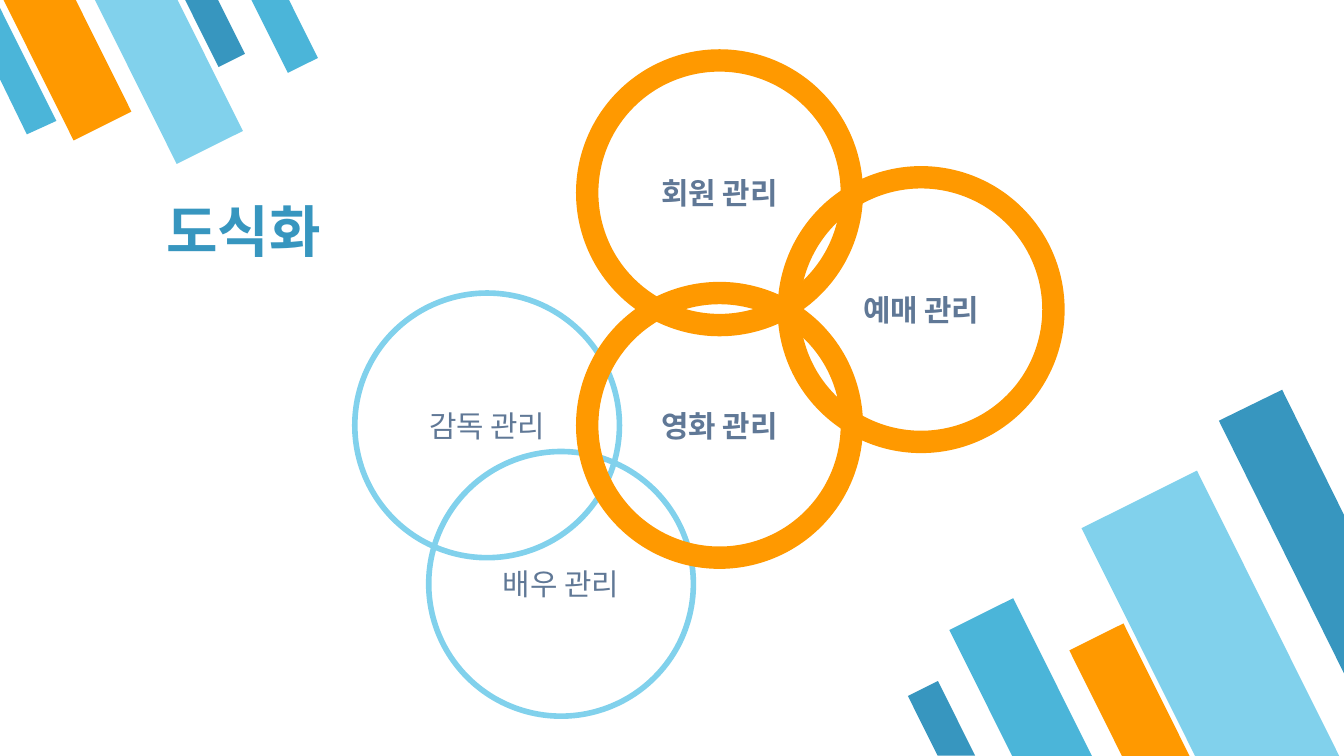
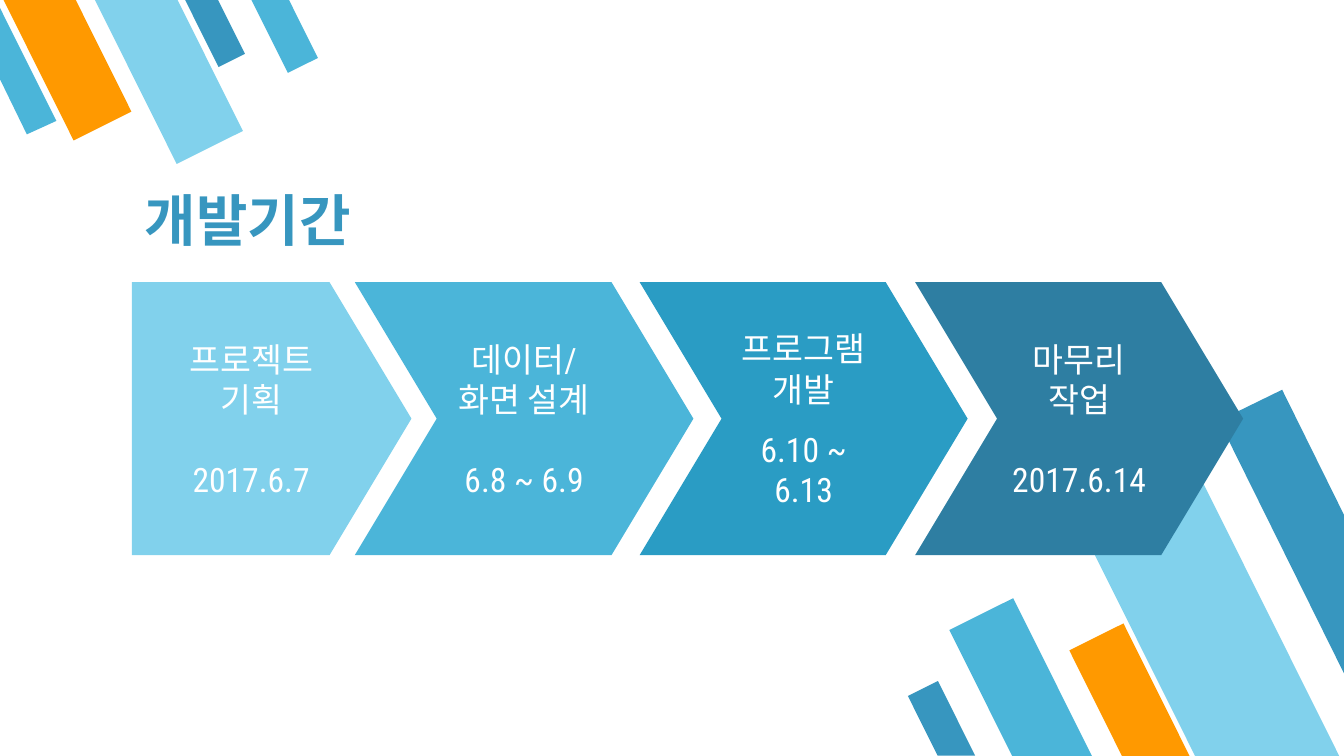
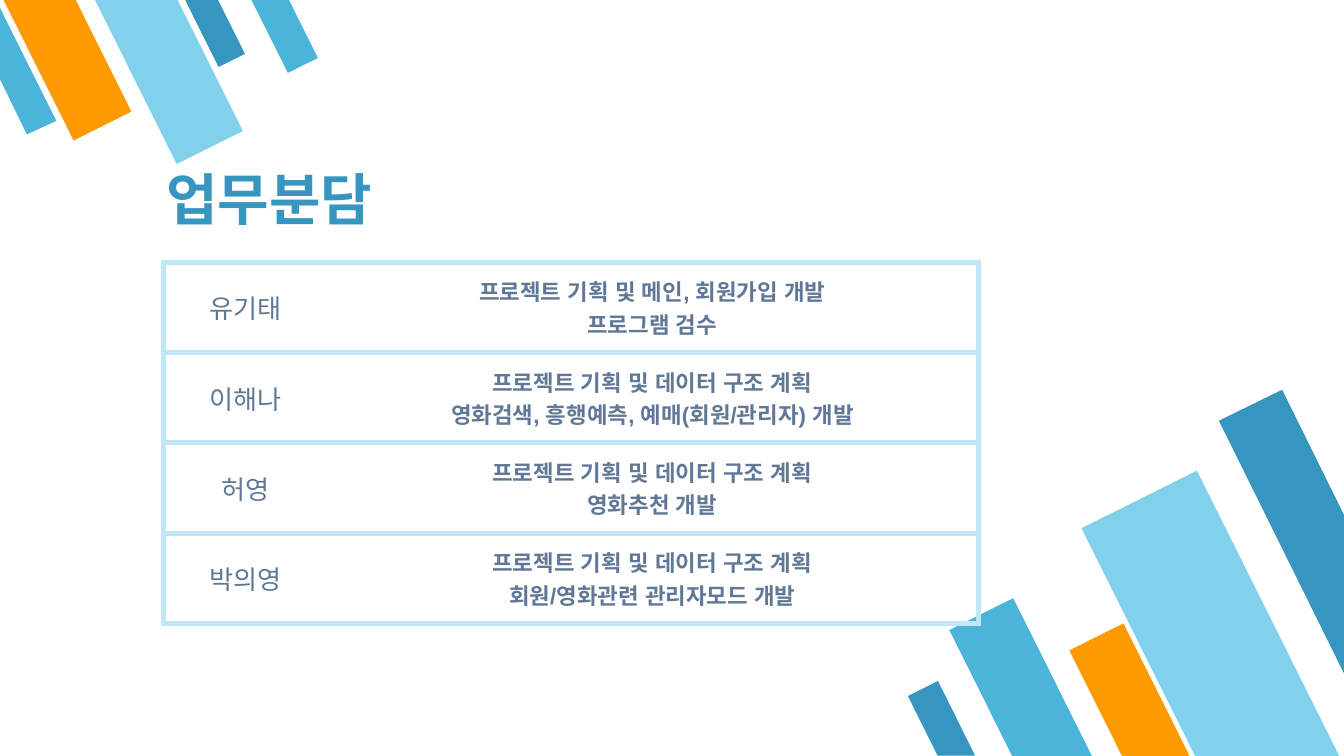
from dataclasses import dataclass

from lxml.etree import SubElement
from pptx import Presentation
from pptx.dml.color import RGBColor
from pptx.enum.lang import MSO_LANGUAGE_ID
from pptx.enum.shapes import MSO_SHAPE
from pptx.enum.text import MSO_ANCHOR, PP_ALIGN
from pptx.oxml.ns import qn
from pptx.util import Pt


@dataclass(frozen=True)
class Theme:
    sky: str = "81D1EC"
    cyan: str = "4BB5D9"
    blue: str = "3796BF"
    teal: str = "2A9CC4"
    navy: str = "2E7EA2"
    orange: str = "FF9900"
    pale: str = "C0E7F6"
    slate: str = "607896"
    white: str = "FFFFFF"
    body_font: str = "Roboto Condensed"
    plain_font: str = "Arial"
    korean_font: str = "Noto Sans CJK KR"
    title_size: int = 30
    step_size: int = 18
    circle_size: int = 16
    name_size: int = 14
    task_size: int = 12
    inset: float = 7.2


THEME = Theme()
SLIDE_WIDTH, SLIDE_HEIGHT = 720, 405

# rotation, stripes (left, top, width, height, colour), cut stripe (corners, colour)
STRIPE_GROUPS = [
    (153.5,
     [(527.8, 324, 38.2, 95, THEME.cyan),
      (614.2, 258.5, 69.1, 172.1, THEME.sky),
      (589, 337, 32.4, 79.9, THEME.orange),
      (495.4, 366.5, 18, 44.6, THEME.blue)],
     ([(686.9, 208.8), (653, 225.4), (720, 360.7), (720, 275.8)], THEME.blue)),
    (333.5,
     [(107.3, -5.8, 15.8, 40.3, THEME.blue),
      (18.7, -13, 34.6, 85, THEME.orange),
      (70.6, -14.4, 39.6, 98.6, THEME.sky),
      (143.3, -7.2, 18, 44.6, THEME.cyan)],
     ([(14.4, 72), (30.2, 64.8), (0, 4.3), (0, 42.5)], THEME.cyan)),
]

CIRCLE_DIAMETER = 141.8
CIRCLES = [
    ("감독 관리", 190.1, 157, False),
    ("배우 관리", 229.7, 241.9, False),
    ("예매 관리", 422.6, 95, True),
    ("회원 관리", 314.6, 32.4, True),
    ("영화 관리", 314.6, 157, True),
]

STEP_TOP, STEP_HEIGHT = 151.2, 146.2
# left, width, colour, name lines, gap before the date, date
STEPS = [
    (70.6, 149.8, THEME.sky, ["프로젝트", "기획"], 21, "2017.6.7"),
    (190.1, 181.4, THEME.cyan, ["데이터/", "화면 설계"], 21, "6.8 ~ 6.9"),
    (342.7, 175.7, THEME.teal, ["프로그램개발"], 10.5, "6.10 ~ 6.13"),
    (490.3, 175.7, THEME.navy, ["마무리 작업"], 21, "2017.6.14"),
]

DATA_PLAN = "프로젝트 기획 및 데이터 구조 계획"
TASKS = [
    ("유기태", ["프로젝트 기획 및 메인, 회원가입 개발", "프로그램 검수"]),
    ("이해나", [DATA_PLAN, "영화검색, 흥행예측, 예매(회원/관리자) 개발"]),
    ("허영", [DATA_PLAN, "영화추천 개발"]),
    ("박의영", [DATA_PLAN, "회원/영화관련 관리자모드 개발"]),
]
TASK_COLUMNS = [87.1, 349.2]
TASK_ROW_HEIGHT = 48.4


def rgb(colour):
    return RGBColor.from_string(colour)


def write_text(frame, lines, *, size, colour, font=THEME.body_font, asian_font=None,
               bold=False, align=PP_ALIGN.CENTER, last_gap=0):
    """Write one paragraph per line; last_gap is the space before the last one."""
    for index, line in enumerate(lines):
        paragraph = frame.paragraphs[0] if index == 0 else frame.add_paragraph()
        paragraph.alignment = align
        if last_gap and index == len(lines) - 1:
            paragraph.space_before = Pt(last_gap)
        run = paragraph.add_run()
        run.text = line
        run.font.name = font
        run.font.size = Pt(size)
        run.font.bold = bold
        run.font.color.rgb = rgb(colour)
        run.font.language_id = MSO_LANGUAGE_ID.KOREAN
        east_asian = SubElement(run.font._element, qn("a:ea"))
        east_asian.set("typeface", asian_font or font)


def set_frame(frame, anchor):
    frame.word_wrap = True
    frame.vertical_anchor = anchor
    frame.margin_left = frame.margin_right = Pt(THEME.inset)
    frame.margin_top = frame.margin_bottom = Pt(THEME.inset)


def paint(shape, fill=None, line=None, line_width=0):
    shape.shadow.inherit = False
    if fill:
        shape.fill.solid()
        shape.fill.fore_color.rgb = rgb(fill)
    else:
        shape.fill.background()
    if line:
        shape.line.color.rgb = rgb(line)
        shape.line.width = Pt(line_width)
    else:
        shape.line.fill.background()


def add_preset(slide, kind, left, top, width, height):
    return slide.shapes.add_shape(kind, Pt(left), Pt(top), Pt(width), Pt(height))


def add_stripes(slide):
    for rotation, stripes, (corners, cut_colour) in STRIPE_GROUPS:
        for *box, colour in stripes:
            stripe = add_preset(slide, MSO_SHAPE.FLOWCHART_MANUAL_INPUT, *box)
            stripe.rotation = rotation
            stripe._element.spPr.find(qn("a:xfrm")).set("flipH", "1")
            paint(stripe, colour)
        points = [(Pt(x), Pt(y)) for x, y in corners]
        builder = slide.shapes.build_freeform(*points[0])
        builder.add_line_segments(points[1:], close=True)
        paint(builder.convert_to_shape(), cut_colour)


def add_titled_slide(presentation, title, left, top, width=453.6, font=THEME.plain_font):
    slide = presentation.slides.add_slide(presentation.slide_layouts[6])
    add_stripes(slide)
    box = slide.shapes.add_textbox(Pt(left), Pt(top), Pt(width), Pt(53.3))
    set_frame(box.text_frame, MSO_ANCHOR.BOTTOM)
    write_text(box.text_frame, [title], size=THEME.title_size, colour=THEME.blue, font=font,
               asian_font=THEME.plain_font, bold=True, align=PP_ALIGN.LEFT)
    return slide


def add_circle(slide, label, left, top, is_main):
    circle = add_preset(slide, MSO_SHAPE.OVAL, left, top, CIRCLE_DIAMETER, CIRCLE_DIAMETER)
    paint(circle, line=THEME.orange if is_main else THEME.sky, line_width=12 if is_main else 3)
    set_frame(circle.text_frame, MSO_ANCHOR.MIDDLE)
    write_text(circle.text_frame, [label], size=THEME.circle_size, colour=THEME.slate,
               bold=is_main)


def add_step(slide, kind, left, width, colour, name_lines, gap, date):
    arrow = add_preset(slide, kind, left, STEP_TOP, width, STEP_HEIGHT)
    arrow.adjustments[0] = 0.3
    paint(arrow, colour)
    set_frame(arrow.text_frame, MSO_ANCHOR.MIDDLE)
    write_text(arrow.text_frame, name_lines + [date], size=THEME.step_size,
               colour=THEME.white, last_gap=gap)


def set_borders(cell, open_side):
    """Line every side of the cell except open_side ("L" or "R")."""
    properties = cell._tc.get_or_add_tcPr()
    for side in "LRTB":
        border = SubElement(properties, qn(f"a:ln{side}"))
        if side == open_side:
            SubElement(border, qn("a:noFill"))
        else:
            border.set("w", str(Pt(3)))
            solid = SubElement(border, qn("a:solidFill"))
            SubElement(solid, qn("a:srgbClr")).set("val", THEME.pale)


def fill_cell(cell, lines, open_side, **text_format):
    cell.vertical_anchor = MSO_ANCHOR.MIDDLE
    cell.margin_left = cell.margin_right = Pt(THEME.inset)
    cell.margin_top = cell.margin_bottom = Pt(5)
    set_borders(cell, open_side)
    cell.fill.background()
    write_text(cell.text_frame, lines, colour=THEME.slate, font=THEME.plain_font,
               asian_font=THEME.korean_font, **text_format)


def add_task_table(slide, left, top):
    frame = slide.shapes.add_table(len(TASKS), len(TASK_COLUMNS), Pt(left), Pt(top),
                                   Pt(sum(TASK_COLUMNS)), Pt(TASK_ROW_HEIGHT * len(TASKS)))
    table = frame.table
    table.first_row = table.horz_banding = False
    for column, width in zip(table.columns, TASK_COLUMNS):
        column.width = Pt(width)
    for row, (name, tasks) in zip(table.rows, TASKS):
        row.height = Pt(TASK_ROW_HEIGHT)
        fill_cell(row.cells[0], [name], "R", size=THEME.name_size)
        fill_cell(row.cells[1], tasks, "L", size=THEME.task_size, bold=True)


def main():
    presentation = Presentation()
    presentation.slide_width = Pt(SLIDE_WIDTH)
    presentation.slide_height = Pt(SLIDE_HEIGHT)

    diagram = add_titled_slide(presentation, "도식화", 82.1, 95, 118.8, THEME.korean_font)
    for circle in CIRCLES:
        add_circle(diagram, *circle)

    schedule = add_titled_slide(presentation, "개발기간", 70.6, 89.3)
    for index, step in enumerate(STEPS):
        add_step(schedule, MSO_SHAPE.CHEVRON if index else MSO_SHAPE.PENTAGON, *step)

    duties = add_titled_slide(presentation, "업무분담", 82.1, 77.8)
    add_task_table(duties, 87.8, 140.4)

    presentation.save("out.pptx")


if __name__ == "__main__":
    main()
